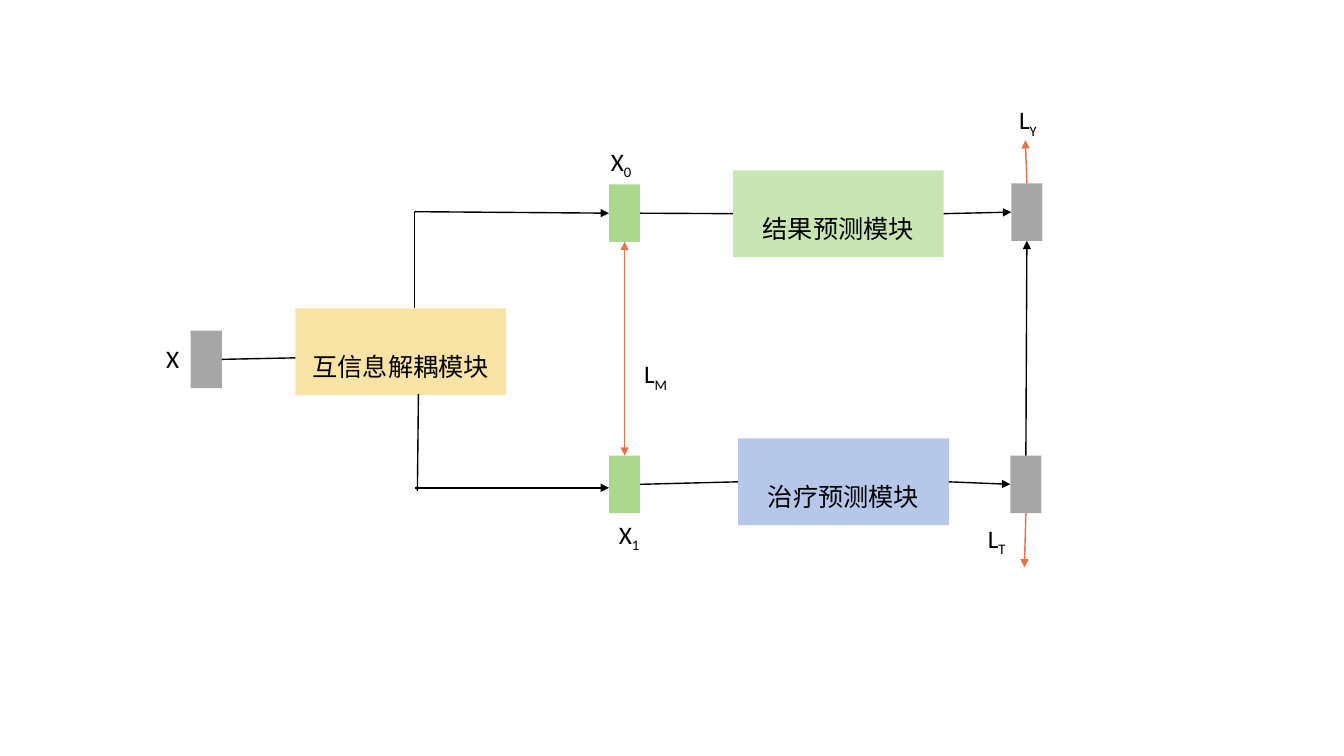
from dataclasses import dataclass

from pptx import Presentation
from pptx import util as u
from pptx.dml.color import RGBColor
from pptx.enum import shapes, text
from pptx.oxml.ns import qn
from lxml import etree


@dataclass(frozen=True)
class Theme:
    font: str = "Calibri"
    size: int = 18
    line: float = 1
    ink: str = "000000"
    loss: str = "E6724B"
    data: str = "A6A6A6"
    factor: str = "ACD78E"
    split: str = "F9E4A5"
    outcome: str = "C8E5B3"
    treatment: str = "B6C7EA"


THEME = Theme()
TOP, LEFT, BOTTOM, RIGHT = range(4)
NODE_SIZE = (0.31, 0.57)
MODULE_SIZE = (2.09, 0.86)


def write(p, content, subscript=False):
    r = p.add_run()
    r.text = content
    r.font.name = THEME.font
    r.font.size = u.Pt(THEME.size)
    r.font.color.rgb = RGBColor.from_string(THEME.ink)
    if subscript:
        r.font._element.set("baseline", "-25000")


def add_box(s, left, top, size, fill):
    sp = s.shapes.add_shape(shapes.MSO_SHAPE.RECTANGLE,
                            *map(u.Inches, (left, top, *size)))
    sp.shadow.inherit = False
    sp.fill.solid()
    sp.fill.fore_color.rgb = RGBColor.from_string(fill)
    sp.line.fill.background()
    return sp


def add_node(s, left, top, fill):
    return add_box(s, left, top, NODE_SIZE, fill)


def add_module(s, left, top, fill, name):
    sp = add_box(s, left, top, MODULE_SIZE, fill)
    tf = sp.text_frame
    tf.word_wrap = True
    tf.vertical_anchor = text.MSO_ANCHOR.MIDDLE
    p = tf.paragraphs[0]
    p.alignment = text.PP_ALIGN.CENTER
    p.line_spacing = 2.0
    write(p, name)
    return sp


def add_label(s, left, top, width, symbol, index=""):
    sp = s.shapes.add_textbox(*map(u.Inches, (left, top, width, 0.4)))
    tf = sp.text_frame
    tf.word_wrap = True
    p = tf.paragraphs[0]
    write(p, symbol)
    if index:
        write(p, index, subscript=True)


def add_link(s, start, end, color=THEME.ink, heads=()):
    """Draw a line between ends that are (x, y) points or (shape, side) joints."""
    c = s.shapes.add_connector(shapes.MSO_CONNECTOR.STRAIGHT, 0, 0, 0, 0)
    # Free ends are placed first so that joints can settle against them.
    if isinstance(start[0], (int, float)):
        c.begin_x, c.begin_y = map(u.Inches, start)
    else:
        c.begin_connect(*start)
    if isinstance(end[0], (int, float)):
        c.end_x, c.end_y = map(u.Inches, end)
    else:
        c.end_connect(*end)
    c.line.width = u.Pt(THEME.line)
    c.line.color.rgb = RGBColor.from_string(color)
    ln = c.line._get_or_add_ln()
    for head in heads:
        etree.SubElement(ln, qn(f"a:{head}")).set("type", "triangle")
    etree.SubElement(c._element.spPr, qn("a:effectLst"))


def main():
    prs = Presentation()
    prs.slide_width, prs.slide_height = u.Inches(13.33), u.Inches(7.5)
    s = prs.slides.add_slide(prs.slide_layouts[6])

    x = add_node(s, 1.89, 3.28, THEME.data)
    x0 = add_node(s, 6.04, 1.83, THEME.factor)
    x1 = add_node(s, 6.04, 4.52, THEME.factor)
    y = add_node(s, 10.03, 1.82, THEME.data)
    t = add_node(s, 10.02, 4.52, THEME.data)

    add_module(s, 2.93, 3.06, THEME.split, "互信息解耦模块")
    outcome = add_module(s, 7.27, 1.69, THEME.outcome, "结果预测模块")
    treatment = add_module(s, 7.32, 4.35, THEME.treatment, "治疗预测模块")

    arrow = ("tailEnd",)
    add_link(s, (x, RIGHT), (2.93, 3.55))
    add_link(s, (4.11, 2.1), (4.11, 3.06))
    add_link(s, (4.11, 2.1), (x0, LEFT), heads=arrow)
    add_link(s, (4.15, 3.91), (4.14, 4.87))
    add_link(s, (4.12, 4.84), (6.04, 4.84), heads=arrow)
    for factor, module, result in ((x0, outcome, y), (x1, treatment, t)):
        add_link(s, (module, LEFT), (factor, RIGHT))
        add_link(s, (module, RIGHT), (result, LEFT), heads=arrow)
    add_link(s, (t, TOP), (y, BOTTOM), heads=arrow)

    add_link(s, (x1, TOP), (x0, BOTTOM), THEME.loss, ("headEnd", "tailEnd"))
    add_link(s, (y, TOP), (10.17, 1.39), THEME.loss, arrow)
    add_link(s, (t, BOTTOM), (10.16, 5.63), THEME.loss, arrow)

    for label in ((1.55, 3.36, 0.35, "X"),
                  (5.96, 1.4, 0.6, "X", "0"),
                  (6.04, 5.1, 0.6, "X", "1"),
                  (6.29, 3.51, 0.63, "L", "M"),
                  (10.01, 0.99, 0.63, "L", "Y"),
                  (9.7, 5.14, 0.63, "L", "T")):
        add_label(s, *label)

    prs.save("out.pptx")


if __name__ == "__main__":
    main()
